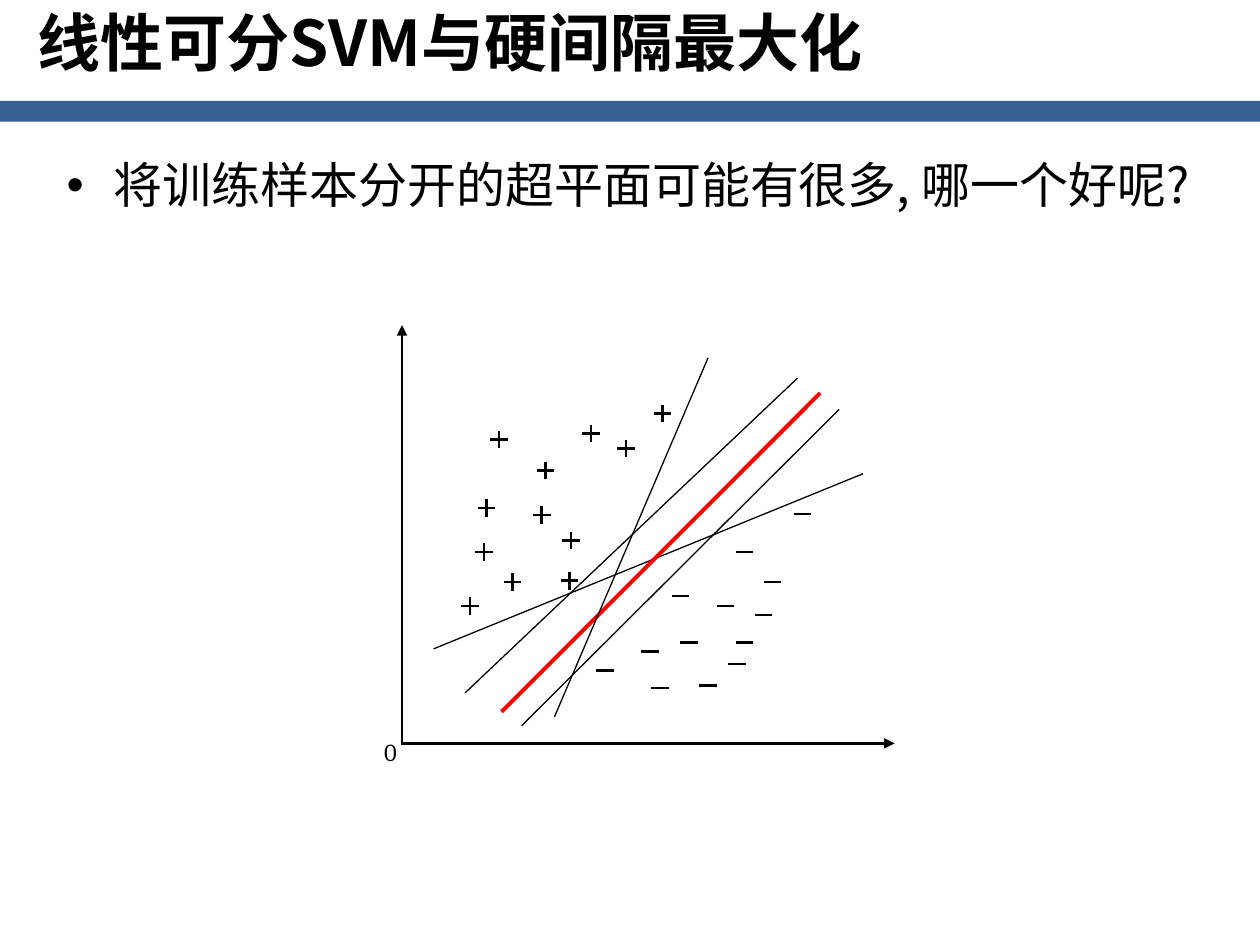
from pptx import Presentation
from pptx.dml.color import RGBColor
from pptx.enum.shapes import MSO_CONNECTOR as Link, MSO_SHAPE as Form
from pptx.enum.text import MSO_ANCHOR as Anchor, MSO_AUTO_SIZE as Fit
from pptx.oxml.ns import qn
from pptx.util import Pt
from lxml.etree import SubElement as Sub


def paint(code):
    return RGBColor.from_string(code)


class Board:
    sans, serif = "Noto Sans CJK SC", "Cambria"
    black, blue, red = "000000", "376092", "FF0000"
    arm = 5

    def __init__(self, slide):
        self.shapes = slide.shapes

    def bar(self, x, y, w, h):
        bar = self.shapes.add_shape(Form.RECTANGLE, Pt(x), Pt(y), Pt(w), Pt(h))
        bar.shadow.inherit = False
        bar.fill.solid()
        bar.fill.fore_color.rgb = paint(self.blue)
        bar.line.fill.background()

    def text(self, box, words, size, face, bold=False, dent=0, space=1.0, wrap=True):
        frame = self.shapes.add_textbox(*map(Pt, box)).text_frame
        frame.word_wrap = wrap
        frame.auto_size = Fit.NONE if wrap else Fit.SHAPE_TO_FIT_TEXT
        frame.vertical_anchor = Anchor.TOP
        if wrap:
            frame.margin_right = 0
        para = frame.paragraphs[0]
        para.line_spacing = space
        if dent:
            props = para._p.get_or_add_pPr()
            props.set("marL", str(Pt(dent)))
            props.set("indent", str(-Pt(dent)))
            Sub(props, qn("a:buFont")).set("typeface", "Arial")
            Sub(props, qn("a:buChar")).set("char", "•")
        run = para.add_run()
        run.text = words
        font = run.font
        font.size, font.name, font.bold = Pt(size), face, bold
        font.color.rgb = paint(self.black)
        Sub(run._r.get_or_add_rPr(), qn("a:ea")).set("typeface", face)

    def line(self, ends, width=1.5, color=black, arrow=False, group=None):
        shapes = group.shapes if group else self.shapes
        line = shapes.add_connector(Link.STRAIGHT, *map(Pt, ends))
        line.line.width = Pt(width)
        line.line.color.rgb = paint(color)
        if arrow:
            Sub(line.line._get_or_add_ln(), qn("a:tailEnd")).set("type", "triangle")
        Sub(line._element.spPr, qn("a:effectLst"))

    def minus(self, x, y, group=None):
        self.line((x - self.arm, y, x + self.arm, y), group=group)

    def plus(self, x, y):
        group = self.shapes.add_group_shape()
        self.minus(x, y, group)
        self.line((x, y - self.arm, x, y + self.arm), group=group)


PLUS = [
    (337.7, 247.7), (326.2, 308.9), (309.6, 294.2), (276.5, 315.4),
    (293, 332.6), (325.4, 331.9), (285.1, 251.3), (378.7, 236.2),
    (357.8, 256.3), (268.6, 346.3), (311.8, 268.8), (277.9, 290.2),
]
MINUS = [
    (436.3, 351.4), (388.8, 340.6), (377.3, 393.1), (345.6, 383),
    (421.2, 379.4), (425.5, 367.2), (371.5, 372.2), (441.4, 332.6),
    (393.8, 367.2), (404.6, 391.7), (414.7, 346.3), (425.5, 315.4),
    (458.6, 293.8),
]
PLANES = [
    (404.6, 204.5, 316.8, 409.7),
    (479.5, 234, 298.1, 414.7),
    (455.8, 216, 265.7, 396),
]


def main():
    deck = Presentation()
    deck.slide_width, deck.slide_height = Pt(720), Pt(540)
    board = Board(deck.slides.add_slide(deck.slide_layouts[6]))

    board.bar(0, 57.6, 720, 12)
    board.text((14.4, 3.6, 612, 39.6), "线性可分SVM与硬间隔最大化",
               36, board.sans, bold=True, space=0.9)
    board.text((31, 88.6, 677, 414), "将训练样本分开的超平面可能有很多, 哪一个好呢?",
               28, board.sans, dent=27, space=0.9)

    board.line((229.7, 424.8, 229.7, 185.8), arrow=True)
    board.line((229, 424.8, 511.2, 424.8), arrow=True)
    board.text((212.4, 417.6, 26, 29.5), "0", 14, board.serif, wrap=False)

    for spot in PLUS:
        board.plus(*spot)
    for spot in MINUS:
        board.minus(*spot)

    board.line((493.2, 270.7, 247.7, 370.8), 0.75)
    board.line((286.6, 406.8, 468.7, 224.6), 2.25, board.red)
    for plane in PLANES:
        board.line(plane, 0.75)

    deck.save("out.pptx")


if __name__ == "__main__":
    main()
